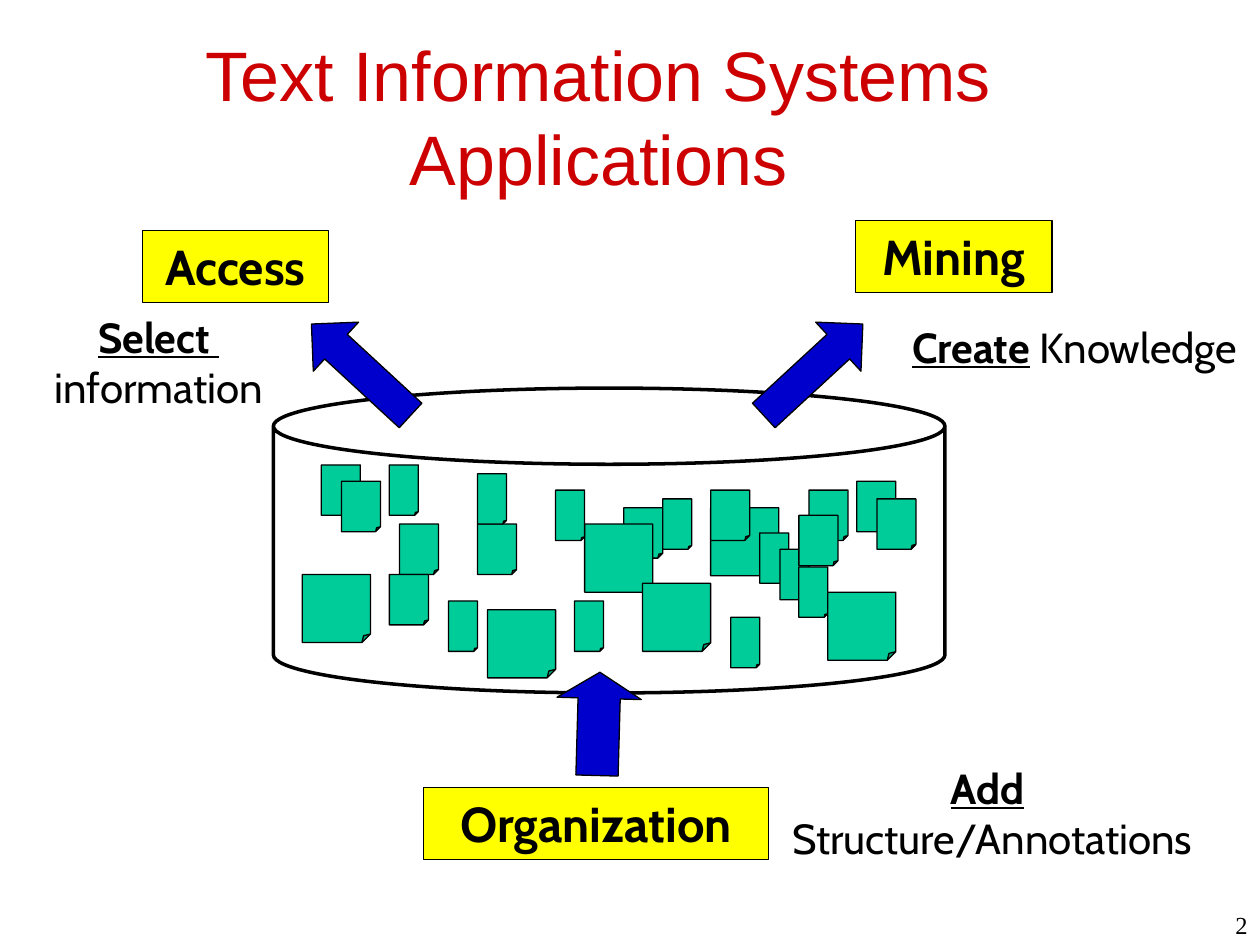
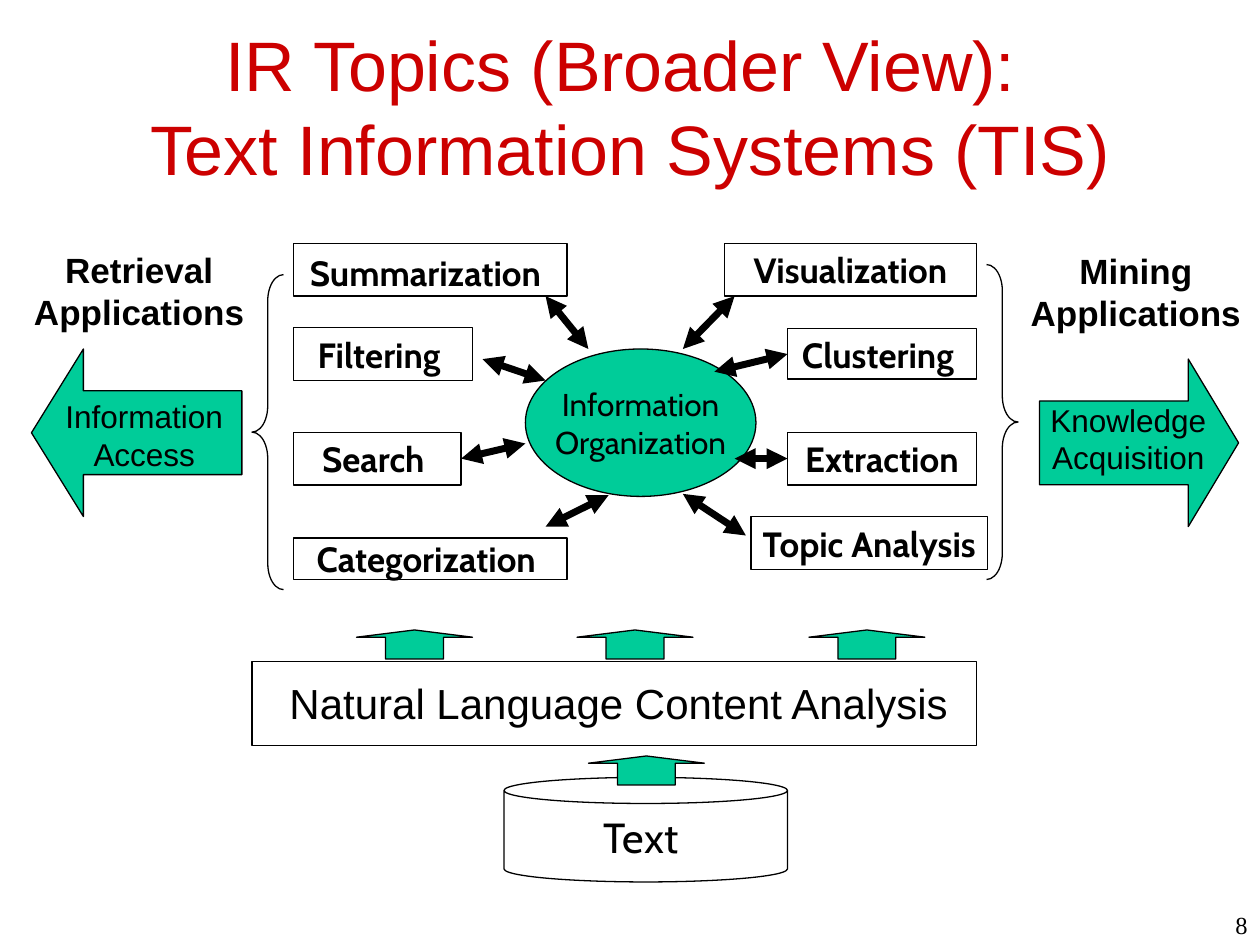
from lxml import etree
from pptx import Presentation
from pptx.dml.color import RGBColor
from pptx.enum.shapes import MSO_CONNECTOR, MSO_SHAPE
from pptx.enum.text import MSO_ANCHOR, MSO_AUTO_SIZE, PP_ALIGN
from pptx.oxml.ns import qn
from pptx.util import Inches, Pt

RECT, CAN, ELLIPSE = MSO_SHAPE.RECTANGLE, MSO_SHAPE.CAN, MSO_SHAPE.OVAL
PAGE = MSO_SHAPE.FOLDED_CORNER
LEFT_ARROW, RIGHT_ARROW, UP_ARROW = MSO_SHAPE.LEFT_ARROW, MSO_SHAPE.RIGHT_ARROW, MSO_SHAPE.UP_ARROW
LEFT_BRACE, RIGHT_BRACE = MSO_SHAPE.LEFT_BRACE, MSO_SHAPE.RIGHT_BRACE
TOP, MIDDLE = MSO_ANCHOR.TOP, MSO_ANCHOR.MIDDLE
CENTER, RIGHT = PP_ALIGN.CENTER, PP_ALIGN.RIGHT
LEFT_SIDE, RIGHT_SIDE = 1, 3

COLORS = {
    "title": "CC0000",
    "ink": "000000",
    "green": "00CC99",
    "yellow": "FFFF00",
    "blue": "0000CC",
}

# name: font, size, bold, underlined, colour
STYLES = {
    "title": ("Arial", 40, False, False, "title"),
    "number": ("Times New Roman", 14, False, False, "ink"),
    "goal": ("Cabin", 28, True, False, "ink"),
    "verb": ("Cabin", 24, True, True, "ink"),
    "note": ("Cabin", 24, False, False, "ink"),
    "topic": ("Cabin", 20, True, False, "ink"),
    "hub": ("Cabin", 18, False, False, "ink"),
    "analysis": ("Arial", 24, False, False, "ink"),
    "side": ("Arial", 20, True, False, "ink"),
    "arrow": ("Arial", 18, False, False, "ink"),
}

# Slide 1: text applications around a collection of documents
COLLECTION = (2.17, 3.08, 5.33, 2.42)
PAGE_SIZES = {"medium": (0.31, 0.4), "large": (0.54, 0.54), "narrow": (0.23, 0.4)}
PAGES = [  # back to front
    ("medium", [(2.55, 3.69), (2.71, 3.82), (3.17, 4.16), (3.09, 4.56), (3.79, 4.16), (4.95, 4.03)]),
    ("large", [(5.64, 4.03), (3.87, 4.84), (4.64, 4.16), (2.4, 4.56), (5.1, 4.63)]),
    ("narrow", [(4.41, 3.89), (5.26, 3.96), (3.79, 3.76), (3.09, 3.69), (5.8, 4.9), (4.56, 4.77),
                (6.03, 4.23), (6.19, 4.36), (6.34, 4.5), (3.56, 4.77)]),
    ("medium", [(6.42, 3.89), (5.64, 3.89), (6.8, 3.82), (6.96, 3.96), (6.34, 4.09)]),
    ("large", [(6.57, 4.7)]),
]
GOALS = [
    ("Access", (1.13, 1.83, 1.48, 0.57)),
    ("Mining", (6.79, 1.75, 1.56, 0.57)),
    ("Organization", (3.36, 6.25, 2.74, 0.57)),
]
GOAL_ARROWS = [  # kind, place, rotation, head length
    (LEFT_ARROW, (2.33, 2.67, 1.07, 0.53), 42.7, 0.5),
    (RIGHT_ARROW, (5.92, 2.67, 1.07, 0.53), 317.3, 0.5),
    (RIGHT_ARROW, (4.34, 5.41, 0.82, 0.67), 271.6, 0.31),
]
GOAL_NOTES = [
    ((0.23, 2.42, 2.06, 0.9), [[("Select ", "verb")], [("information", "note")]]),
    ((6.96, 2.5, 3.14, 0.5), [[("Create", "verb"), (" Knowledge", "note")]]),
    ((6.03, 6, 3.69, 0.9), [[("Add", "verb"), (" ", "note")], [("Structure/Annotations", "note")]]),
]

# Slide 2: topics around information organization
TOPICS = {
    "Summarization": (2.33, 1.93, 2.17, 0.42),
    "Filtering ": (2.33, 2.6, 1.42, 0.42),
    "Search ": (2.33, 3.43, 1.33, 0.42),
    "Categorization ": (2.33, 4.27, 2.17, 0.33),
    "Visualization": (5.75, 1.93, 2, 0.42),
    "Clustering ": (6.25, 2.61, 1.5, 0.4),
    "Extraction": (6.25, 3.43, 1.5, 0.42),
    "Topic Analysis": (5.96, 4.1, 1.88, 0.42),
}
HUB = (4.17, 2.77, 1.83, 1.17)
FREE_SPOKES = [
    ((4.33, 2.35), (4.67, 2.77)),
    ((5.42, 3.92), (5.92, 4.25)),
    ((3.83, 2.85), (4.33, 3.02)),
    ((4.83, 3.93), (4.33, 4.18)),
    ((5.83, 2.35), (5.42, 2.77)),
]
JOINED_SPOKES = [  # topic, its side, end at the hub
    ("Clustering ", LEFT_SIDE, (5.67, 2.95)),
    ("Extraction", LEFT_SIDE, (5.83, 3.64)),
    ("Search ", RIGHT_SIDE, (4.17, 3.52)),
]
BRACES = [(LEFT_BRACE, (2, 2.18, 0.25, 2.5)), (RIGHT_BRACE, (7.83, 2.1, 0.25, 2.5))]
SIDE_ARROWS = [
    (LEFT_ARROW, (0.25, 2.77, 1.67, 1.33), 0.31),
    (RIGHT_ARROW, (8.25, 2.85, 1.58, 1.33), 0.3),
]
SIDE_TEXTS = [
    ("side", (0.17, 1.92, 1.87, 0.77), ["Retrieval", "Applications"]),
    ("side", (8.08, 1.93, 1.87, 0.77), ["Mining", "Applications"]),
    ("arrow", (0.42, 3.1, 1.45, 0.7), ["Information", "Access"]),
    ("arrow", (8.24, 3.13, 1.43, 0.7), ["Knowledge", "Acquisition"]),
]
ANALYSIS = (2, 5.25, 5.75, 0.67)
ANALYSIS_TEXT = (2.19, 5.33, 5.44, 0.5)
TEXT_STORE = (4, 6.17, 2.25, 0.83)
UP_ARROWS = [(4.67, 6), (2.83, 5), (4.58, 5), (6.42, 5)]
UP_ARROW_SIZE = (0.92, 0.23)


def inches(values):
    return [Inches(value) for value in values]


def rgb(name):
    return RGBColor.from_string(COLORS[name])


def lines(texts, style):
    """Turn plain lines into one-run paragraphs."""
    return [[(text, style)] for text in texts]


def write(frame, paragraphs, anchor=TOP, align=CENTER, wrap=False):
    frame.auto_size = MSO_AUTO_SIZE.NONE
    frame.word_wrap = wrap
    frame.vertical_anchor = anchor
    for index, runs in enumerate(paragraphs):
        paragraph = frame.add_paragraph() if index else frame.paragraphs[0]
        paragraph.alignment = align
        for text, style in runs:
            if text == "\n":
                paragraph.add_line_break()
                continue
            run = paragraph.add_run()
            run.text = text
            font = run.font
            font.name, size, font.bold, font.underline, color = STYLES[style]
            font.size = Pt(size)
            font.color.rgb = rgb(color)


def add_label(slide, place, paragraphs, **layout):
    write(slide.shapes.add_textbox(*inches(place)).text_frame, paragraphs, **layout)


def set_adjustments(shape, values):
    """Write the guides directly, as up arrows offer none through shape.adjustments."""
    guides = shape._element.spPr.find(qn("a:prstGeom")).get_or_add_avLst()
    for guide in list(guides):
        guides.remove(guide)
    names = ["adj"] if len(values) == 1 else ["adj1", "adj2"]
    for name, value in zip(names, values):
        etree.SubElement(guides, qn("a:gd"), name=name, fmla=f"val {round(value * 100000)}")


def add_outlined(slide, kind, place, fill=None, adjust=(), weight=0.75):
    shape = slide.shapes.add_shape(kind, *inches(place))
    shape.shadow.inherit = False
    if fill:
        shape.fill.solid()
        shape.fill.fore_color.rgb = rgb(fill)
    else:
        shape.fill.background()
    shape.line.color.rgb = rgb("ink")
    shape.line.width = Pt(weight)
    if adjust:
        set_adjustments(shape, adjust)
    return shape


def add_spoke(slide, start, end):
    """Add a thick line with an arrowhead at both ends."""
    spoke = slide.shapes.add_connector(MSO_CONNECTOR.STRAIGHT, *inches(start + end))
    spoke.line.color.rgb = rgb("ink")
    spoke.line.width = Pt(4)
    outline = spoke._element.spPr.find(qn("a:ln"))
    for tag in ("a:headEnd", "a:tailEnd"):
        etree.SubElement(outline, qn(tag), type="triangle")
    etree.SubElement(spoke._element.spPr, qn("a:effectLst"))
    return spoke


def add_titled_slide(prs, title_lines, left, top, number):
    slide = prs.slides.add_slide(prs.slide_layouts[5])
    title = slide.shapes.title
    title.left, title.top, title.width, title.height = inches((left, top, 9.5, 1.17))
    runs = []
    for line in title_lines:
        if runs:
            runs.append(("\n", "title"))
        runs.append((line, "title"))
    write(title.text_frame, [runs], anchor=MIDDLE, wrap=True)
    add_label(slide, (7.92, 7.17, 2.08, 0.5), lines([number], "number"), align=RIGHT, wrap=True)
    return slide


def build_applications(prs):
    slide = add_titled_slide(prs, ["Text Information Systems Applications"], 0, 0.33, "2")
    add_outlined(slide, CAN, COLLECTION, adjust=[0.25], weight=2)
    for size, corners in PAGES:
        for corner in corners:
            add_outlined(slide, PAGE, corner + PAGE_SIZES[size], "green", [0.125])
    for goal, place in GOALS:
        box = add_outlined(slide, RECT, place, "yellow")
        write(box.text_frame, lines([goal], "goal"))
    for kind, place, rotation, head in GOAL_ARROWS:
        add_outlined(slide, kind, place, "blue", [0.5, head]).rotation = rotation
    for place, paragraphs in GOAL_NOTES:
        add_label(slide, place, paragraphs)


def build_topics(prs):
    slide = add_titled_slide(
        prs, ["IR Topics (Broader View): ", "Text Information Systems (TIS)"], 0.25, 0.25, "8")

    store = add_outlined(slide, CAN, TEXT_STORE, adjust=[0.25])
    write(store.text_frame, lines(["Text "], "note"), MIDDLE)
    add_outlined(slide, RECT, ANALYSIS)
    add_label(slide, ANALYSIS_TEXT, lines(["Natural Language Content Analysis"], "analysis"))
    for corner in UP_ARROWS:
        add_outlined(slide, UP_ARROW, corner + UP_ARROW_SIZE, "green", [0.5, 0.25])

    boxes = {}
    for topic, place in TOPICS.items():
        boxes[topic] = add_outlined(slide, RECT, place)
        runs = [(topic, "topic")]
        if topic == "Summarization":
            runs.append((" ", "note"))
        write(boxes[topic].text_frame, [runs], MIDDLE)

    for kind, place in BRACES:
        add_outlined(slide, kind, place, adjust=[0.83, 0.5])
    for kind, place, head in SIDE_ARROWS:
        add_outlined(slide, kind, place, "green", [0.5, head])
    for style, place, texts in SIDE_TEXTS:
        add_label(slide, place, lines(texts, style))

    hub = add_outlined(slide, ELLIPSE, HUB, "green")
    write(hub.text_frame, lines(["Information", "Organization"], "hub"), MIDDLE)
    for start, end in FREE_SPOKES:
        add_spoke(slide, start, end)
    for topic, side, end in JOINED_SPOKES:
        add_spoke(slide, end, end).begin_connect(boxes[topic], side)


def main():
    prs = Presentation()
    prs.slide_width, prs.slide_height = Inches(10), Inches(7.5)
    build_applications(prs)
    build_topics(prs)
    prs.save("out.pptx")


if __name__ == "__main__":
    main()
